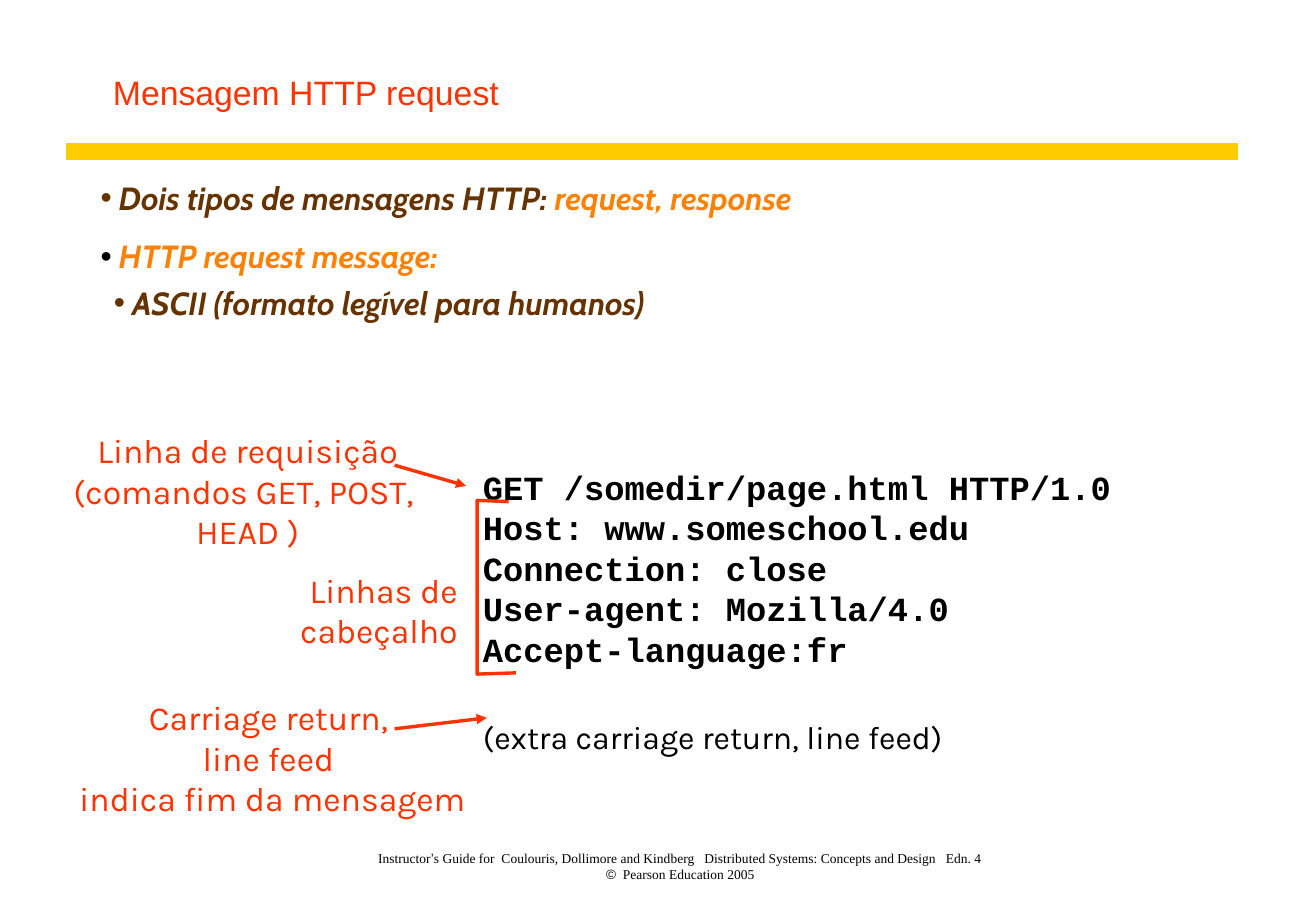
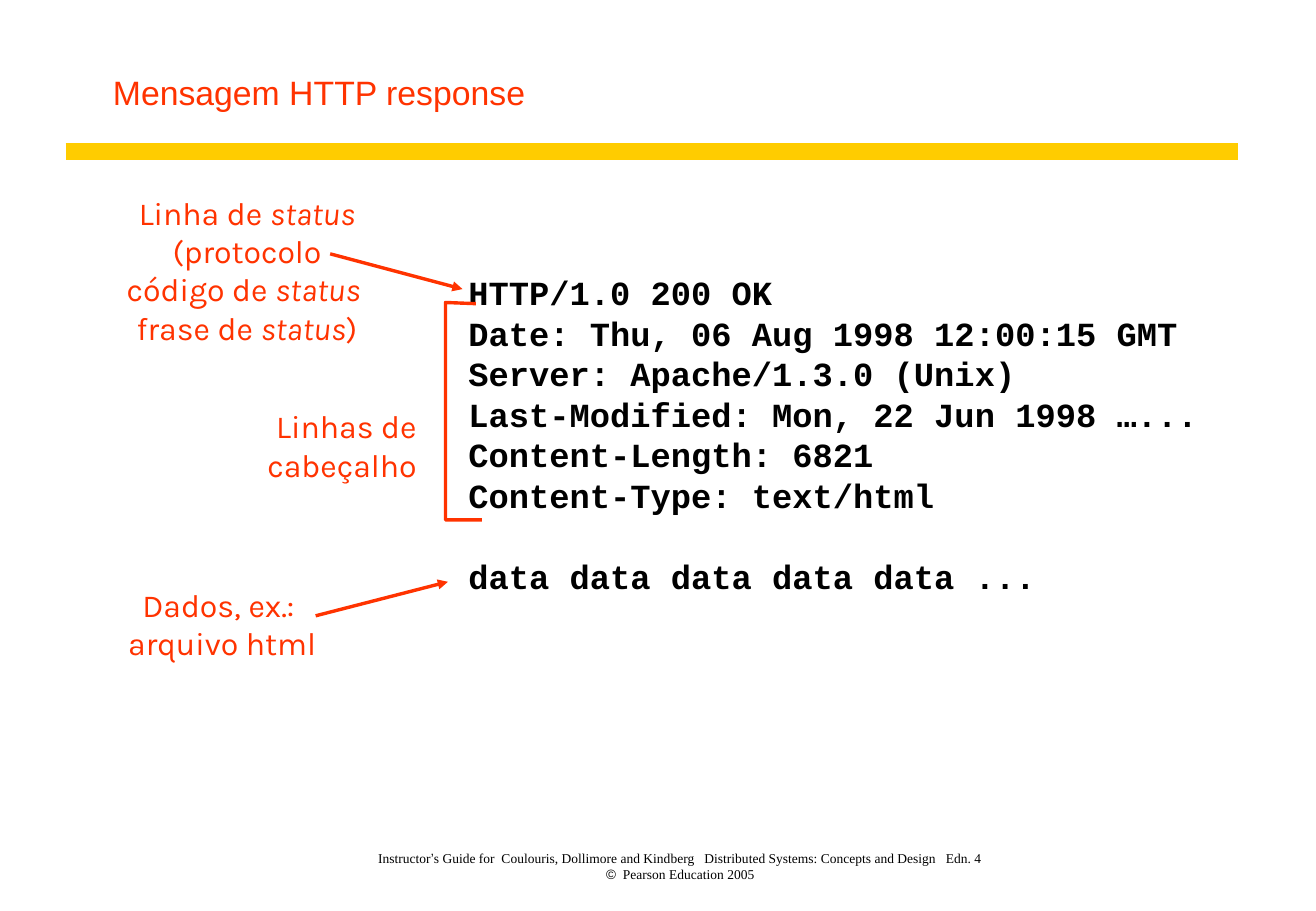
from dataclasses import dataclass

from pptx import Presentation
from pptx.dml.color import RGBColor
from pptx.enum import shapes, text
from pptx.oxml.ns import qn
from pptx.util import Inches, Pt
from lxml import etree

LEFT, CENTER, RIGHT = (text.PP_ALIGN.LEFT, text.PP_ALIGN.CENTER,
                       text.PP_ALIGN.RIGHT)


@dataclass(frozen=True)
class Theme:
    # Colours
    accent: str = "FF3300"
    band: str = "FFCC00"
    ink: str = "000000"
    brown: str = "663300"
    orange: str = "FF8103"
    # Fonts
    sans: str = "Arial"
    label: str = "Karla"
    body: str = "Cabin"
    code: str = "Courier New"
    serif: str = "Times New Roman"
    # Sizes and line widths in points
    large: int = 20
    medium: int = 19
    small: int = 8
    leading: float = 1.2
    stroke: int = 2
    band_width: int = 10


THEME = Theme()


def set_font(font, size, name, color, bold=False, italic=False):
    font.size, font.name = Pt(size), name
    font.bold, font.italic = bold, italic
    font.color.rgb = RGBColor.from_string(color)


class Deck:
    """Holds the presentation, its style and the current slide."""

    def __init__(self, theme):
        self.theme = theme
        self.prs = Presentation()
        self.prs.slide_width, self.prs.slide_height = Inches(10.84), Inches(7.5)
        self.slide = None

    def new_slide(self, title):
        theme = self.theme
        self.slide = self.prs.slides.add_slide(self.prs.slide_layouts[5])
        heading = self.slide.shapes.title
        heading.left, heading.top = Inches(0.83), Inches(0.5)
        heading.width, heading.height = Inches(10), Inches(0.52)
        heading.text_frame.text = title
        heading.text_frame.vertical_anchor = text.MSO_ANCHOR.MIDDLE
        paragraph = heading.text_frame.paragraphs[0]
        paragraph.alignment = LEFT
        set_font(paragraph.font, theme.large, theme.sans, theme.accent)
        self.line((0.54, 1.25), (10.2, 1.25), theme.band, theme.band_width)
        self.footer()

    def footer(self):
        theme = self.theme
        frame = self.frame(2.31, 7, 6.59, 0.31)
        frame.vertical_anchor = text.MSO_ANCHOR.BOTTOM
        paragraph = frame.paragraphs[0]
        paragraph.alignment = CENTER
        set_font(paragraph.font, theme.small, theme.serif, theme.ink)
        self.add_run(paragraph, "Instructor")
        self.add_run(paragraph, "’", name=theme.sans)
        self.add_run(paragraph, "s Guide for  Coulouris, Dollimore and Kindberg"
                     "   Distributed Systems: Concepts and Design   Edn. 4")
        paragraph.add_line_break()
        self.add_run(paragraph, "©", name=theme.sans)
        self.add_run(paragraph, "  Pearson Education 2005")

    def frame(self, left, top, width, height):
        box = self.slide.shapes.add_textbox(
            Inches(left), Inches(top), Inches(width), Inches(height))
        box.text_frame.word_wrap = True
        return box.text_frame

    def add_run(self, paragraph, wording, **overrides):
        run = paragraph.add_run()
        run.text = wording
        for key, value in overrides.items():
            setattr(run.font, key, value)
        return run

    def paragraphs(self, frame, count):
        yield frame.paragraphs[0]
        for _ in range(count - 1):
            yield frame.add_paragraph()

    def label(self, at, lines, size, align=CENTER):
        """Red caption; words between asterisks are italic."""
        theme = self.theme
        frame = self.frame(*at)
        for paragraph, line in zip(self.paragraphs(frame, len(lines)), lines):
            paragraph.alignment = align
            paragraph.line_spacing = Pt(size * theme.leading)
            set_font(paragraph.font, size, theme.label, theme.accent)
            for index, part in enumerate(line.split("*")):
                if part:
                    style = {"italic": True} if index % 2 else {}
                    self.add_run(paragraph, part, **style)

    def code(self, at, lines):
        theme = self.theme
        frame = self.frame(*at)
        for paragraph, line in zip(self.paragraphs(frame, len(lines)), lines):
            paragraph.line_spacing = Pt(theme.large * theme.leading)
            set_font(paragraph.font, theme.large, theme.code, theme.ink, bold=True)
            self.add_run(paragraph, line)
        return frame

    def bullets(self, at, items):
        """Each item: indent, bullet colour, space after, coloured parts."""
        theme = self.theme
        frame = self.frame(*at)
        rows = zip(self.paragraphs(frame, len(items)), items)
        for row, (paragraph, (indent, color, after, parts)) in enumerate(rows):
            props = paragraph._p.get_or_add_pPr()
            props.set("marL", str(Inches(indent + 0.15)))
            props.set("indent", str(-Inches(0.15)))
            fill = etree.SubElement(props, qn("a:buClr"))
            etree.SubElement(fill, qn("a:srgbClr"), val=color)
            etree.SubElement(props, qn("a:buFont"), typeface=theme.sans)
            etree.SubElement(props, qn("a:buChar"), char="•")
            paragraph.space_before = Pt(4.8 if row else 0)
            paragraph.space_after = Pt(after)
            set_font(paragraph.font, theme.medium, theme.body, parts[0][1],
                     bold=True, italic=True)
            for wording, part_color in parts:
                run = self.add_run(paragraph, wording)
                run.font.color.rgb = RGBColor.from_string(part_color)

    def line(self, start, end, color, width):
        connector = self.slide.shapes.add_connector(
            shapes.MSO_CONNECTOR.STRAIGHT, *map(Inches, start + end))
        connector.line.color.rgb = RGBColor.from_string(color)
        connector.line.width = Pt(width)
        etree.SubElement(connector._element.spPr, qn("a:effectLst"))
        return connector

    def arrow(self, start, end):
        connector = self.line(start, end, self.theme.accent, self.theme.stroke)
        etree.SubElement(connector.line._get_or_add_ln(), qn("a:tailEnd"),
                         type="triangle")

    def bracket(self, *points):
        first, *rest = [tuple(map(Inches, point)) for point in points]
        builder = self.slide.shapes.build_freeform(*first)
        builder.add_line_segments(rest, close=False)
        outline = builder.convert_to_shape()
        outline.shadow.inherit = False
        outline.fill.background()
        outline.line.color.rgb = RGBColor.from_string(self.theme.accent)
        outline.line.width = Pt(self.theme.stroke)


def request_slide(deck):
    theme = deck.theme
    deck.new_slide("Mensagem HTTP request")

    # Message types
    deck.bullets((0.73, 1.42, 8.5, 1.58), [
        (0, theme.brown, 7.1, [("Dois tipos de mensagens HTTP: ", theme.brown),
                               ("request, response", theme.orange)]),
        (0, theme.ink, 0, [("HTTP request message:", theme.orange)]),
        (0.11, theme.brown, 0,
         [("ASCII (formato legível para humanos)", theme.brown)]),
    ])

    # Request text
    request = deck.code((3.88, 3.79, 5.54, 2.49), [
        "GET /somedir/page.html HTTP/1.0",
        "Host: www.someschool.edu",
        "Connection: close",
        "User-agent: Mozilla/4.0",
        "Accept-language:fr",
    ])
    ending = request.add_paragraph()
    ending.space_before = Pt(28.8)
    ending.line_spacing = Pt(theme.medium * theme.leading)
    set_font(ending.font, theme.medium, theme.label, theme.ink)
    deck.add_run(ending, "(extra carriage return, line feed)")

    # Captions and pointers
    deck.label((0.43, 3.49, 3.22, 1.1),
               ["Linha de requisição", "(comandos GET, POST, ", "HEAD )"],
               theme.large)
    deck.label((2.35, 4.64, 1.52, 0.77), ["Linhas de", "cabeçalho"],
               theme.large, RIGHT)
    deck.label((0.54, 5.69, 3.41, 1.1),
               ["Carriage return, ", "line feed ", "indica fim da mensagem"],
               theme.large)
    deck.bracket((4.19, 4.13), (3.93, 4.12), (3.93, 5.55), (4.25, 5.54))
    deck.arrow((3.25, 3.83), (3.84, 4))
    deck.arrow((3.25, 6), (4.01, 5.91))


def response_slide(deck):
    theme = deck.theme
    deck.new_slide("Mensagem HTTP response")

    # Response text
    response = deck.code((3.76, 2.19, 6.38, 2.77), [
        "HTTP/1.0 200 OK",
        "Date: Thu, 06 Aug 1998 12:00:15 GMT",
        "Server: Apache/1.3.0 (Unix)",
        "Last-Modified: Mon, 22 Jun 1998 …...",
        "Content-Length: 6821",
        "Content-Type: text/html",
        "data data data data data ...",
    ])
    response.paragraphs[-1].space_before = Pt(theme.large * theme.leading)

    # Captions and pointers
    deck.label((0.91, 1.54, 2.25, 1.37),
               ["Linha de *status*", "(protocolo", "código de *status *",
                "frase de *status*)"], theme.medium)
    deck.label((2.08, 3.3, 1.45, 0.74), ["Linhas de", "cabeçalho"],
               theme.medium, RIGHT)
    deck.label((0.94, 4.77, 1.78, 0.74), ["Dados, ex.: ", "arquivo html"],
               theme.medium)
    deck.bracket((3.92, 2.5), (3.67, 2.49), (3.67, 4.28), (3.97, 4.28))
    deck.arrow((2.72, 2.09), (3.81, 2.38))
    deck.arrow((2.6, 5.07), (3.69, 4.79))


def main():
    deck = Deck(THEME)
    request_slide(deck)
    response_slide(deck)
    deck.prs.save("out.pptx")


if __name__ == "__main__":
    main()
